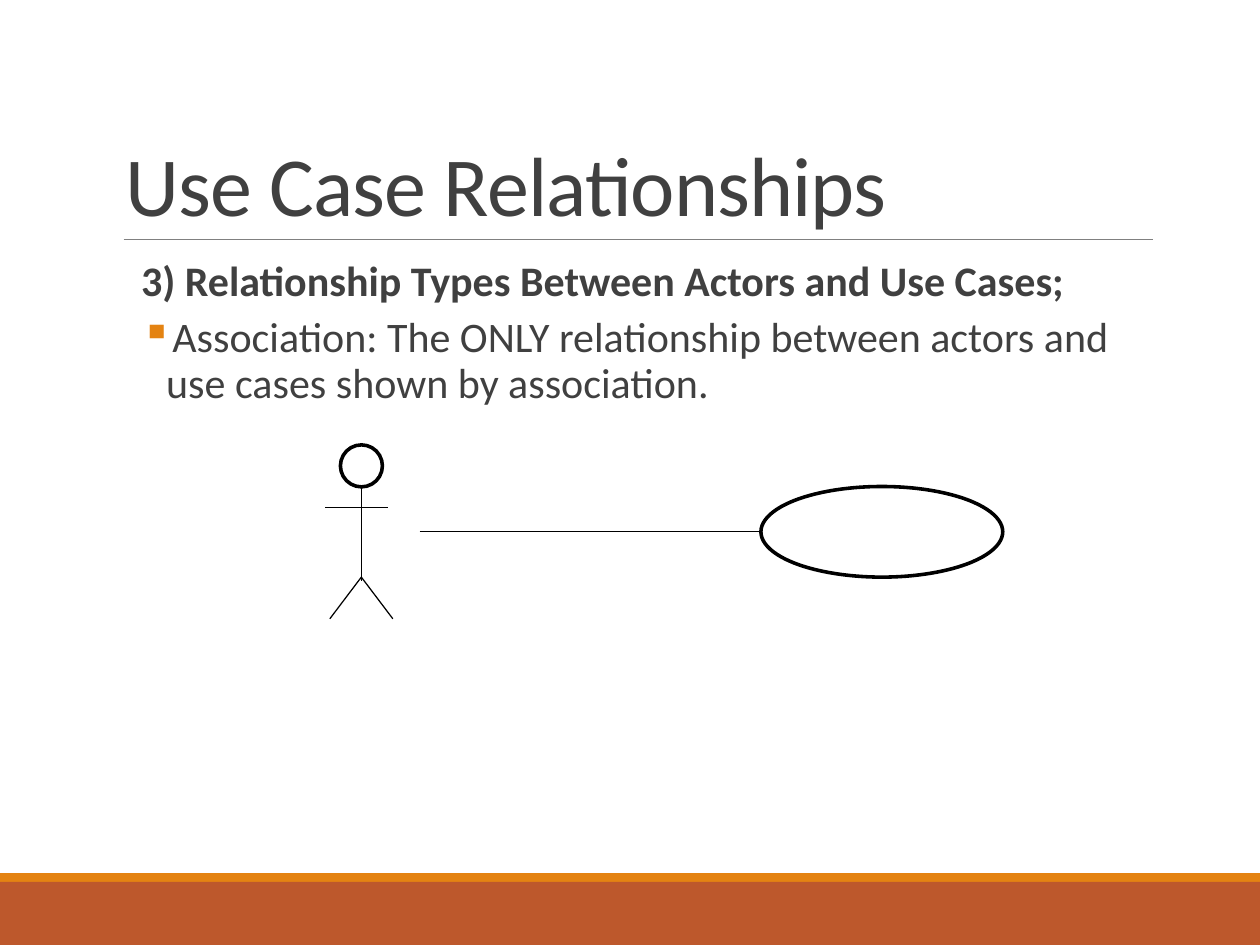
from lxml import etree
from pptx import Presentation
from pptx.dml.color import RGBColor
from pptx.enum.shapes import MSO_CONNECTOR, MSO_SHAPE
from pptx.enum.text import MSO_ANCHOR
from pptx.oxml.ns import qn
from pptx.util import Pt

RECTANGLE, OVAL = MSO_SHAPE.RECTANGLE, MSO_SHAPE.OVAL
STRAIGHT = MSO_CONNECTOR.STRAIGHT
BOTTOM = MSO_ANCHOR.BOTTOM
FONT = "Calibri"
COLORS = {"rust": "BD582C", "orange": "E48312", "rule": "808080",
          "text": "404040", "ink": "000000"}
THICK, THIN, HAIR = 2.04, 0.72, 0.5


def color(key):
    """Return a palette colour."""
    return RGBColor.from_string(COLORS[key])


def add_line(slide, start, end, ink, width):
    """Draw a straight line without a shadow."""
    line = slide.shapes.add_connector(STRAIGHT, *map(Pt, (*start, *end)))
    line.line.color.rgb = color(ink)
    line.line.width = Pt(width)
    etree.SubElement(line._element.spPr, qn("a:effectLst"))


def add_oval(slide, left, top, width, height):
    """Draw an unfilled outlined ellipse."""
    oval = slide.shapes.add_shape(OVAL, *map(Pt, (left, top, width, height)))
    oval.shadow.inherit = False
    oval.fill.background()
    oval.line.color.rgb = color("ink")
    oval.line.width = Pt(THICK)


def add_footer(slide, left, top, width, height):
    """Draw the footer band under its thin accent strip."""
    strip = 5
    bands = (("orange", top, strip), ("rust", top + strip, height - strip))
    for fill, band_top, band_height in bands:
        band = slide.shapes.add_shape(
            RECTANGLE, Pt(left), Pt(band_top), Pt(width), Pt(band_height))
        band.shadow.inherit = False
        band.fill.solid()
        band.fill.fore_color.rgb = color(fill)
        band.line.fill.background()


def style_paragraph(paragraph, size, spacing, bold=False):
    """Set the line spacing and font of a paragraph."""
    paragraph.line_spacing = spacing
    for run in paragraph.runs:
        run.font.name = FONT
        run.font.size = Pt(size)
        run.font.bold = bold
        run.font.color.rgb = color("text")


def add_title(slide, left, top, width, height):
    """Write the title above its rule."""
    title = slide.shapes.add_textbox(*map(Pt, (left, top, width, height)))
    frame = title.text_frame
    frame.word_wrap = True
    frame.vertical_anchor = BOTTOM
    frame.text = "Use Case Relationships"
    style_paragraph(frame.paragraphs[0], 48, 0.85)
    frame.paragraphs[0].runs[0].font._element.set("spc", "-50")
    bottom = top + height
    add_line(slide, (left + 5.8, bottom), (left + width, bottom), "rule", HAIR)


def add_body(slide, left, top, width, height):
    """Write the heading and the bulleted explanation."""
    body = slide.shapes.add_textbox(*map(Pt, (left, top, width, height)))
    frame = body.text_frame
    frame.word_wrap = True
    frame.margin_left = frame.margin_right = 0
    frame.text = ("3) Relationship Types Between Actors and Use Cases;\n"
                  "Association: The ONLY relationship between actors and "
                  "use cases shown by association.")
    heading, association = frame.paragraphs
    for paragraph, indent, hanging in ((heading, 15.8, 0),
                                       (association, 30.2, -14.4)):
        style_paragraph(paragraph, 24, 0.9, bold=paragraph is heading)
        paragraph.space_before, paragraph.space_after = Pt(2), Pt(4)
        properties = paragraph._p.get_or_add_pPr()
        properties.set("marL", str(Pt(indent)))
        properties.set("indent", str(Pt(hanging)))
    properties = association._p.get_or_add_pPr()
    bullet_color = etree.SubElement(properties, qn("a:buClr"))
    etree.SubElement(bullet_color, qn("a:srgbClr"), val=COLORS["orange"])
    etree.SubElement(properties, qn("a:buChar"), char="▪")


def add_actor(slide, left, top, width, height):
    """Draw the stick-figure actor."""
    head, reach = 24, 18
    center = left + width / 2 + 1.2
    neck, hip, foot = top + head, top + 75.6, top + height
    add_oval(slide, center - head / 2, top, head, head)
    add_line(slide, (center, neck), (center, hip + 2), "ink", THIN)
    for side in (-reach, reach):
        add_line(slide, (center, hip), (center + side, foot), "ink", THIN)
    shoulder = top + 36
    add_line(slide, (left, shoulder), (left + 2 * reach, shoulder),
             "ink", THIN)


def add_diagram(slide, left, top, width, height):
    """Draw an actor associated with a use case."""
    case_width, case_height = 138.2, 51.8
    case_left, middle = left + width - case_width, top + height / 2
    add_actor(slide, left, top, 39, height)
    add_line(slide, (left + 54, middle), (case_left, middle), "ink", THIN)
    add_oval(slide, case_left, middle - case_height / 2,
             case_width, case_height)


def main():
    """Build and save the slide."""
    presentation = Presentation()
    presentation.slide_width, presentation.slide_height = Pt(720), Pt(540)
    slide = presentation.slides.add_slide(presentation.slide_layouts[6])
    add_footer(slide, 0, 499, 720, 41)
    add_title(slide, 64.8, 22.3, 594, 114.5)
    add_body(slide, 64.8, 145.4, 594, 316.8)
    add_diagram(slide, 185.8, 254.2, 387.2, 99.4)
    presentation.save("out.pptx")


if __name__ == "__main__":
    main()
